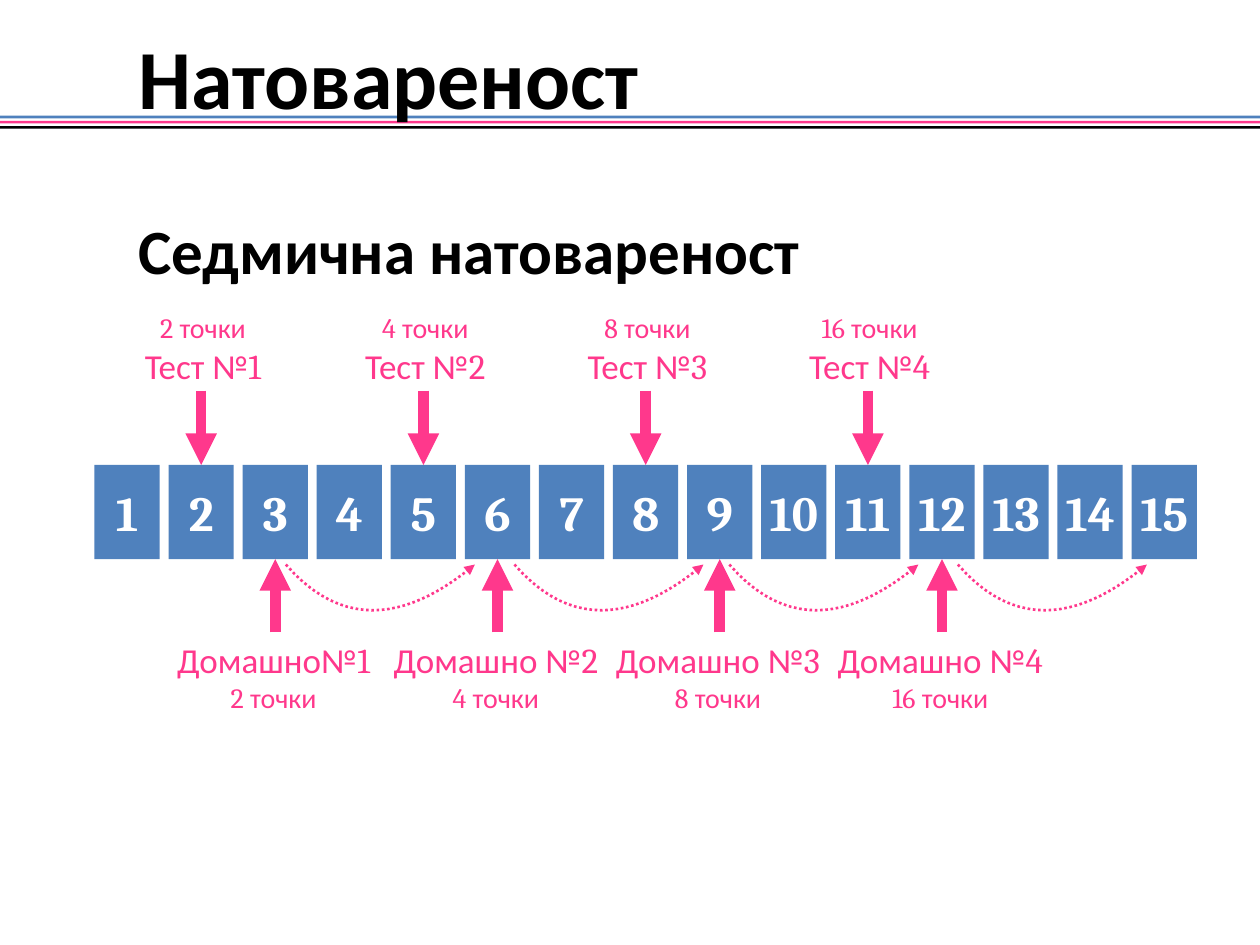
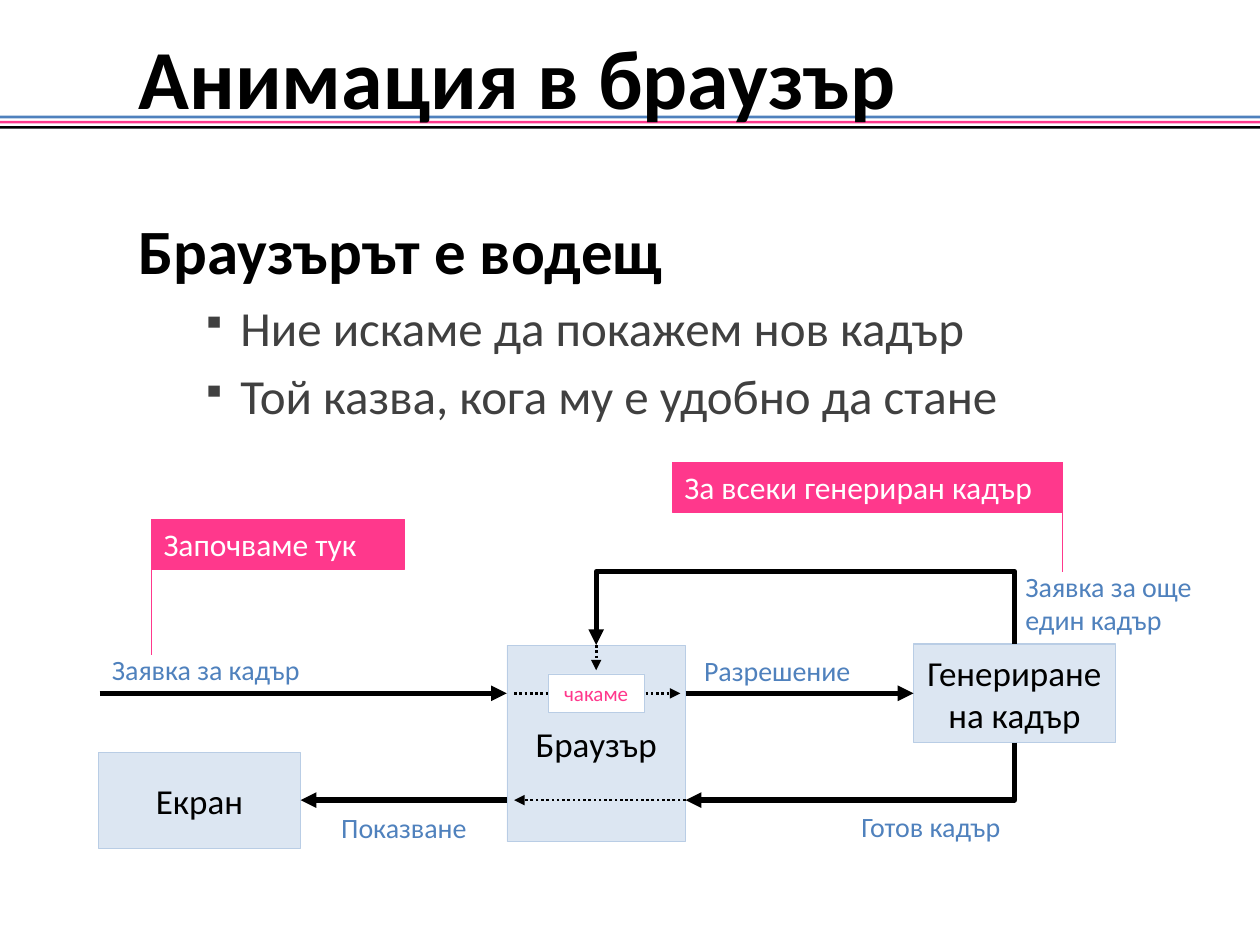
from dataclasses import dataclass
from itertools import groupby
from typing import NamedTuple

from lxml.etree import SubElement
from pptx import Presentation
from pptx.dml.color import RGBColor
from pptx.enum.dml import MSO_LINE as Dash
from pptx.enum.shapes import MSO_CONNECTOR as Conn, MSO_SHAPE as Geom
from pptx.enum.text import MSO_ANCHOR as Anchor, PP_ALIGN as Align
from pptx.oxml.ns import qn
from pptx.util import Pt

BLUE = RGBColor(0x4F, 0x81, 0xBD)
PINK = RGBColor(0xFF, 0x38, 0x8C)
BLACK = RGBColor(0, 0, 0)
WHITE = RGBColor(0xFF, 0xFF, 0xFF)
GREY = RGBColor(0x40, 0x40, 0x40)
PALE = RGBColor(0xDC, 0xE6, 0xF2)
EDGE = RGBColor(0xB9, 0xCD, 0xE5)

TEXT_FONT, DIGIT_FONT = "Calibri", "Cambria"
TOP, LEFT, BOTTOM, RIGHT = range(4)
WIDE, HIGH = 720, 540


class Line(NamedTuple):
    text: str
    size: float
    ink: RGBColor = BLACK
    bold: bool = False


class Pen(NamedTuple):
    ink: RGBColor
    width: float
    dots: bool = False
    arrow: bool = True


@dataclass
class Box:
    x: float
    y: float
    w: float
    h: float
    lines: tuple[Line, ...] = ()
    fill: RGBColor | None = None
    edge: Pen | None = None
    align: Align = Align.CENTER
    anchor: Anchor = Anchor.MIDDLE
    inset: float = 7.2
    wrap: bool = True


FLOW = Pen(BLACK, 3)
DOTS = Pen(BLACK, 1.5, dots=True)
FAT = Pen(PINK, 6)
ARC = Pen(PINK, 1.5, dots=True)
THIN = Pen(PINK, 0.25, arrow=False)
RIM = Pen(EDGE, 0.25, arrow=False)


def write(par, line: Line) -> None:
    """Fill a paragraph, setting digits in their own font."""
    for digit, chars in groupby(line.text, str.isdigit):
        run = par.add_run()
        run.text = "".join(chars)
        font = run.font
        font.name = DIGIT_FONT if digit else TEXT_FONT
        font.size = Pt(line.size)
        font.bold = line.bold
        font.color.rgb = line.ink


def draw(shape, pen: Pen) -> None:
    shape.line.color.rgb = pen.ink
    shape.line.width = Pt(pen.width)
    if pen.dots:
        shape.line.dash_style = Dash.ROUND_DOT
    if pen.arrow:
        edge = shape.element.spPr.find(qn("a:ln"))
        SubElement(edge, qn("a:tailEnd"), type="triangle")


def put(slide, box: Box):
    """Add a filled rectangle, or a text box if there is no fill."""
    area = Pt(box.x), Pt(box.y), Pt(box.w), Pt(box.h)
    if box.fill is None:
        shape = slide.shapes.add_textbox(*area)
    else:
        shape = slide.shapes.add_shape(Geom.RECTANGLE, *area)
        shape.shadow.inherit = False
        shape.fill.solid()
        shape.fill.fore_color.rgb = box.fill
        if box.edge:
            draw(shape, box.edge)
        else:
            shape.line.fill.background()
    frame = shape.text_frame
    frame.word_wrap = box.wrap
    frame.vertical_anchor = box.anchor
    frame.margin_left = frame.margin_right = Pt(box.inset)
    for num, line in enumerate(box.lines):
        par = frame.add_paragraph() if num else frame.paragraphs[0]
        par.alignment = box.align
        write(par, line)
    return shape


def join(slide, pen: Pen, start: tuple, end: tuple, source=None, target=None):
    """Draw a straight line; source and target are (shape, side) pairs."""
    link = slide.shapes.add_connector(Conn.STRAIGHT, *map(Pt, start + end))
    if source:
        link.begin_connect(*source)
    if target:
        link.end_connect(*target)
    draw(link, pen)
    SubElement(link.element.spPr, qn("a:effectLst"))


def trace(slide, pen: Pen, spots: list) -> None:
    """Draw an open path through the spots."""
    first, *rest = [(Pt(x), Pt(y)) for x, y in spots]
    path = slide.shapes.build_freeform(*first)
    path.add_line_segments(rest, close=False)
    shape = path.convert_to_shape()
    shape.shadow.inherit = False
    shape.fill.background()
    draw(shape, pen)


def curve(x: float, y: float, steps: int = 24) -> list:
    """Points of the cubic arc that hangs to the right of (x, y)."""
    spots = []
    for step in range(steps + 1):
        t = step / steps
        a, b, c = 3 * t * (1 - t) ** 2, 3 * t * t * (1 - t), t ** 3
        spots.append((x + 39.8 * a + 82 * b + 108 * c, y + 46 * a + 21.6 * b))
    return spots


def start(deck, title: str, head: str, points: tuple = ()):
    """Add a slide with its bands, title, heading and bullets."""
    slide = deck.slides.add_slide(deck.slide_layouts[6])
    for num, ink in enumerate((BLUE, PINK, BLACK)):
        put(slide, Box(0, 66.1 + 2.95 * num, WIDE, 1.5, fill=ink))
    name = put(slide, Box(0, 18, WIDE, 51.1, (Line(title, 48, bold=True),),
                          align=Align.LEFT))
    name.text_frame.margin_left = Pt(79.2)
    lines = (Line(head, 36, bold=True),
             *(Line(point, 28, GREY) for point in points))
    body = put(slide, Box(72, 95.8, 642, 438, lines, align=Align.LEFT,
                          anchor=Anchor.TOP))
    first, *rest = body.text_frame.paragraphs
    first.line_spacing = 1.5
    for par in rest:
        par.space_before = Pt(5.6)
        props = par._p.get_or_add_pPr()
        props.set("marL", str(Pt(58.3)))
        props.set("indent", str(Pt(-22.3)))
        tint = SubElement(props, qn("a:buClr"))
        SubElement(tint, qn("a:srgbClr"), val=str(GREY))
        SubElement(props, qn("a:buSzPct"), val="70000")
        SubElement(props, qn("a:buChar"), char="▪")
    return slide


def load(deck) -> None:
    slide = start(deck, "Натовареност", "Седмична натовареност")
    top, tall, wide, pitch = 265.7, 53.8, 37.3, 42.33
    weeks = [put(slide, Box(54 + pitch * num, top, wide, tall,
                            (Line(str(num + 1), 28, WHITE, True),),
                            BLUE, inset=0))
             for num in range(15)]
    for num in range(4):
        score = Line(f"{2 ** (num + 1)} точки", 16, PINK)
        mid = 54 + wide / 2 + pitch * (3 * num + 1)
        test = Line(f"Тест №{num + 1}", 20, PINK)
        put(slide, Box(mid - 54, 174.2, 110, 50, (score, test),
                       anchor=Anchor.TOP))
        join(slide, FAT, (mid, 223.2), (mid, top),
             target=(weeks[3 * num + 1], TOP))

        mid += pitch
        gap = " " if num else ""
        task = Line(f"Домашно{gap}№{num + 1}", 20, PINK)
        put(slide, Box(mid - 61.5, 361.4, 121, 55.4, (task, score),
                       anchor=Anchor.TOP, inset=0))
        join(slide, FAT, (mid, 361.4), (mid, top + tall),
             target=(weeks[3 * num + 2], BOTTOM))
    for x in (163.4, 294, 416.8, 547.4):
        trace(slide, ARC, curve(x, 322.6))


def browse(deck) -> None:
    slide = start(deck, "Анимация в браузър", "Браузърът е водещ",
                  ("Ние искаме да покажем нов кадър",
                   "Той казва, кога му е удобно да стане"))
    ask, show = 396.2, 457.2
    near, far, mid, turn = 289.6, 391.8, 340.7, 579.8

    maker = put(slide, Box(522, 368, 115.4, 56.4,
                           (Line("Генериране", 20), Line("на кадър", 20)),
                           PALE, Pen(EDGE, 0.75, arrow=False), wrap=False))
    agent = put(slide, Box(near, 368.6, far - near, 112.4,
                           (Line("Браузър", 20),), PALE, RIM))
    screen = put(slide, Box(56.2, 429.8, 115.6, 54.8,
                            (Line("Екран", 20),), PALE, RIM))

    trace(slide, FLOW, [(turn, 424.4), (turn, show), (far, show)])
    trace(slide, FLOW, [(turn, 368), (turn, 326.6), (mid, 326.6),
                        (mid, 368.6)])
    join(slide, FLOW, (far, ask), (522, ask), target=(maker, LEFT))
    join(slide, FLOW, (near, show), (171.8, show), target=(screen, RIGHT))
    join(slide, FLOW, (56.9, ask), (near, ask))
    join(slide, DOTS, (293.8, ask), (388.8, ask))
    join(slide, DOTS, (mid, 368.6), (mid, 383), source=(agent, TOP))
    join(slide, DOTS, (far, show), (293.8, show))
    put(slide, Box(313.2, 385, 55, 21.8, (Line("чакаме", 12, PINK),),
                   WHITE, RIM))

    for text, x, y, w, h, align in (
            ("Разрешение", 395.3, 369.6, 158, 26.6, Align.LEFT),
            ("Показване", 171.4, 459.4, 118.8, 26.6, Align.CENTER),
            ("Готов кадър", 442.8, 458.8, 136, 26.6, Align.RIGHT),
            ("Заявка за кадър", 56.9, 368.9, 229.7, 26.6, Align.LEFT),
            ("Заявка за още един кадър", 578.9, 321.4, 114.5, 46, Align.LEFT)):
        put(slide, Box(x, y, w, h, (Line(text, 16, BLUE),), align=align))

    for text, x, y, w, pole, foot in (
            ("Започваме тук", 86.4, 296.8, 144.9, 86.4, 374.4),
            ("За всеки генериран кадър", 384, 264.2, 223, 607, 326.9)):
        put(slide, Box(x, y, w, 28.4, (Line(text, 18, WHITE),), PINK, THIN,
                       align=Align.LEFT))
        join(slide, THIN, (pole, y), (pole, foot))


def main() -> None:
    deck = Presentation()
    deck.slide_width, deck.slide_height = Pt(WIDE), Pt(HIGH)
    load(deck)
    browse(deck)
    deck.save("out.pptx")


if __name__ == "__main__":
    main()
